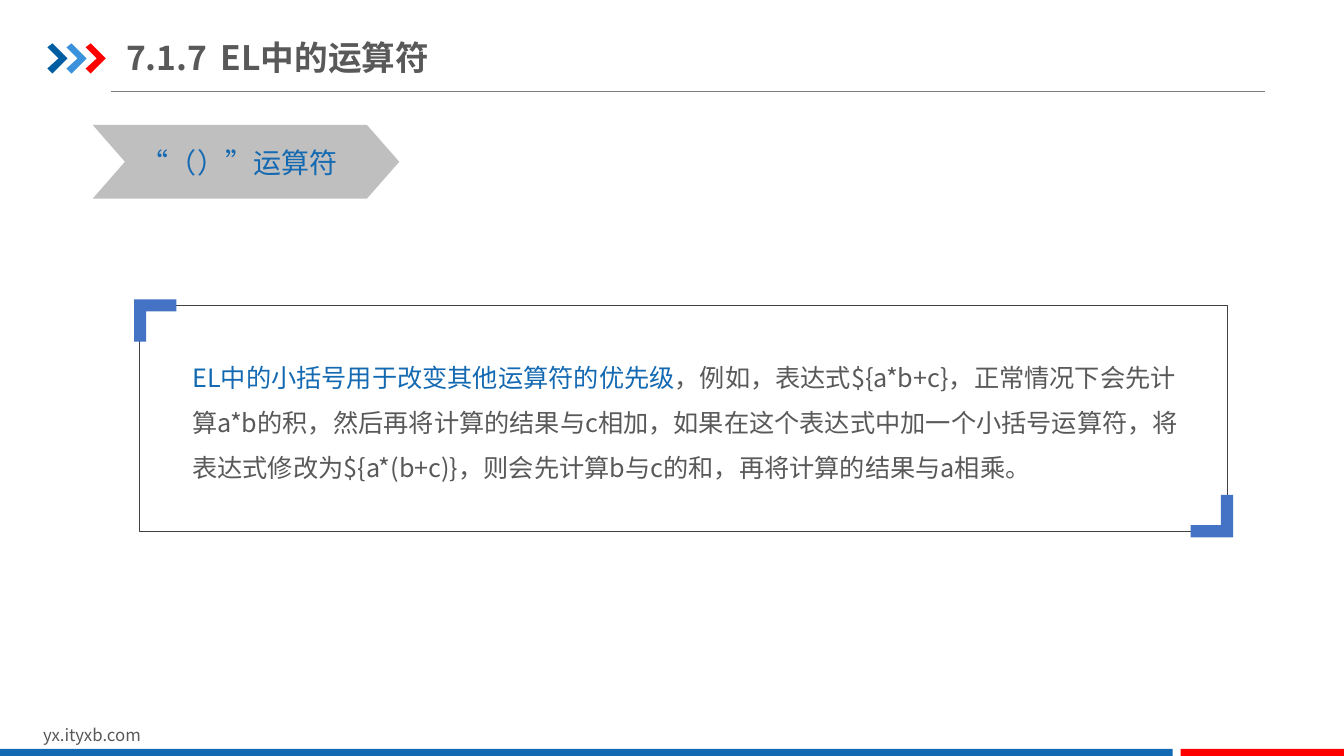
"""Build the slide on the parenthesis operator in EL."""
from lxml.etree import SubElement
from pptx import Presentation
from pptx.dml.color import RGBColor
from pptx.enum.shapes import MSO_CONNECTOR, MSO_SHAPE
from pptx.enum.text import MSO_ANCHOR, MSO_AUTO_SIZE, PP_ALIGN
from pptx.oxml.ns import qn
from pptx.util import Inches, Pt

FONT = "Noto Sans CJK SC"
BLUE = RGBColor(0x13, 0x69, 0xB2)
RED = RGBColor(0xFF, 0x00, 0x00)
NAVY = RGBColor(0x00, 0x5D, 0xA2)
SKY = RGBColor(0x39, 0x92, 0xDB)
ACCENT = RGBColor(0x44, 0x72, 0xC4)
TEXT = RGBColor(0x59, 0x59, 0x59)
SILVER = RGBColor(0xBF, 0xBF, 0xBF)
GRAY = RGBColor(0x80, 0x80, 0x80)
DARK = RGBColor(0x40, 0x40, 0x40)

CHEVRON = [(0, 0.04), (0.05, 0), (0.2, 0.15), (0.05, 0.3), (0, 0.25), (0.11, 0.15)]
CORNER = [(0, 0), (0.42, 0), (0.42, 0.12), (0.12, 0.12), (0.12, 0.42), (0, 0.42)]


def paint(sp, fill=None, line=None, width=0.25):
    """Set the fill and outline of a shape and drop its shadow."""
    sp.shadow.inherit = False
    if fill is None:
        sp.fill.background()
    else:
        sp.fill.solid()
        sp.fill.fore_color.rgb = fill
    if line is None:
        sp.line.fill.background()
    else:
        sp.line.color.rgb = line
        sp.line.width = Pt(width)


def add_preset(slide, kind, box, adj=None, **colors):
    """Add a preset shape."""
    sp = slide.shapes.add_shape(kind, *map(Inches, box))
    if adj is not None:
        sp.adjustments[0] = adj
    paint(sp, **colors)


def add_outline(slide, outline, left, top, fill, sign=1):
    """Add a closed freeform; sign -1 turns the outline by half a circle."""
    points = [(Inches(left + sign * x), Inches(top + sign * y)) for x, y in outline]
    builder = slide.shapes.build_freeform(*points[0], scale=1.0)
    builder.add_line_segments(points[1:], close=True)
    paint(builder.convert_to_shape(), fill)


def add_rule(slide, x1, x2, y):
    """Add the thin rule under the title."""
    line = slide.shapes.add_connector(
        MSO_CONNECTOR.STRAIGHT, *map(Inches, (x1, y, x2, y)))
    line.line.color.rgb = GRAY
    line.line.width = Pt(0.5)
    SubElement(line._element.spPr, qn("a:effectLst"))


def write(tf, runs, size, bold=False, spacing=None, **frame):
    """Write coloured runs into the first paragraph of a text frame."""
    for name, value in frame.items():
        setattr(tf, name, value)
    p = tf.paragraphs[0]
    p.alignment = PP_ALIGN.LEFT
    if spacing:
        p.line_spacing = spacing
    for text, color in runs:
        r = p.add_run()
        r.text = text
        for name, value in {"name": FONT, "size": Pt(size), "bold": bold}.items():
            setattr(r.font, name, value)
        r.font.color.rgb = color
        SubElement(r._r.get_or_add_rPr(), qn("a:ea"), typeface=FONT)


def add_text(slide, box, runs, size, **options):
    """Add a text box."""
    sp = slide.shapes.add_textbox(*map(Inches, box))
    write(sp.text_frame, runs, size, **{"word_wrap": True, **options})


def set_title(slide, text):
    """Place and format the title, with a tab stop after its number."""
    title = slide.shapes.title
    box = {"left": 1.25, "top": 0.29, "width": 3.44, "height": 0.55}
    for name, value in box.items():
        setattr(title, name, Inches(value))
    tf = title.text_frame
    pPr = tf.paragraphs[0]._p.get_or_add_pPr()
    tabs = SubElement(pPr, qn("a:tabLst"))
    SubElement(tabs, qn("a:tab"), pos=str(Inches(0.94)), algn="l")
    write(tf, [(text, TEXT)], 24, bold=True, word_wrap=True,
          auto_size=MSO_AUTO_SIZE.NONE, vertical_anchor=MSO_ANCHOR.MIDDLE,
          margin_left=0, margin_right=0,
          margin_top=Inches(0.07), margin_bottom=Inches(0.07))


def main():
    """Build and save the slide."""
    prs = Presentation()
    prs.slide_width, prs.slide_height = Inches(13.33), Inches(7.5)
    slide = prs.slides.add_slide(prs.slide_layouts[5])

    add_rule(slide, 1.1, 12.55, 0.91)
    for i, color in enumerate((NAVY, SKY, RED)):
        add_outline(slide, CHEVRON, 0.47 + 0.19 * i, 0.43, color)
    set_title(slide, "7.1.7\tEL中的运算符")

    add_text(slide, (0.33, 7.14, 3.18, 0.3), [("yx.ityxb.com", TEXT)], 12)
    for left, width, color in ((0, 11.63, BLUE), (11.71, 1.62, RED)):
        add_preset(slide, MSO_SHAPE.RECTANGLE, (left, 7.43, width, 0.07), fill=color)

    add_preset(slide, MSO_SHAPE.CHEVRON, (0.92, 1.24, 3.04, 0.73), 0.438, fill=SILVER)
    add_text(slide, (1.3, 1.39, 2.17, 0.44), [("“（）”运算符", BLUE)], 20,
             word_wrap=False)

    add_preset(slide, MSO_SHAPE.ROUNDED_RECTANGLE, (1.38, 3.03, 10.79, 2.24), 0,
               line=DARK)
    add_outline(slide, CORNER, 1.33, 2.97, ACCENT)
    add_outline(slide, CORNER, 12.23, 5.33, ACCENT, sign=-1)
    add_text(slide, (1.81, 3.39, 10.06, 1.48), [
        ("EL中的小括号用于改变其他运算符的优先级", BLUE),
        ("，例如，表达式${a*b+c}，正常情况下会先计算a*b的积，"
         "然后再将计算的结果与c相加，如果在这个表达式中加一个小括号运算符，"
         "将表达式修改为${a*(b+c)}，则会先计算b与c的和，再将计算的结果与a相乘。", TEXT),
    ], 18, spacing=1.5)

    prs.save("out.pptx")


if __name__ == "__main__":
    main()
